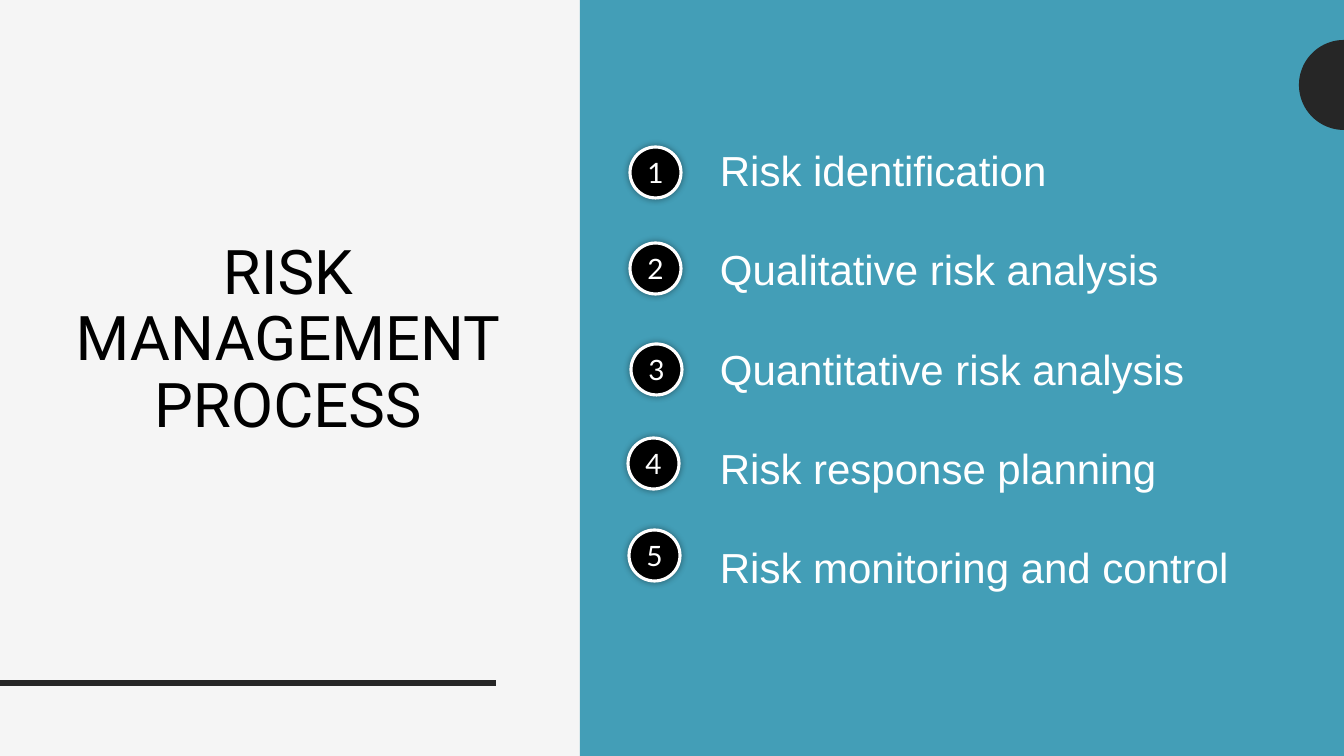
from math import cos, pi, sin

from lxml import etree
from pptx import Presentation
from pptx.dml.color import RGBColor
from pptx.enum.shapes import MSO_CONNECTOR, MSO_SHAPE
from pptx.enum.text import MSO_ANCHOR, PP_ALIGN
from pptx.oxml.ns import qn
from pptx.util import Pt

SCALE = 914400 / 100.8
RECT, OVAL = MSO_SHAPE.RECTANGLE, MSO_SHAPE.OVAL
LINE = MSO_CONNECTOR.STRAIGHT
TOP, MIDDLE = MSO_ANCHOR.TOP, MSO_ANCHOR.MIDDLE
CENTER = PP_ALIGN.CENTER

PALE = RGBColor(0xF5, 0xF5, 0xF5)
TEAL = RGBColor(0x43, 0x9E, 0xB7)
DARK = RGBColor(0x26, 0x26, 0x26)
BLACK = RGBColor(0, 0, 0)
WHITE = RGBColor(0xFF, 0xFF, 0xFF)

TITLE = ["RISK", "MANAGEMENT", "PROCESS"]
STEPS = [
    ("Risk identification", 630, 147),
    ("Qualitative risk analysis", 630, 243),
    ("Quantitative risk analysis", 631, 344),
    ("Risk response planning", 628, 438),
    ("Risk monitoring and control", 629, 530),
]


def px(*nums):
    return [round(n * SCALE) for n in nums]


def add_run(para, text, font, size, color):
    run = para.add_run()
    run.text = text
    run.font.name = font
    run.font.size = Pt(size)
    run.font.color.rgb = color


def paint(shape, color):
    shape.shadow.inherit = False
    shape.fill.solid()
    shape.fill.fore_color.rgb = color
    shape.line.fill.background()


def add_panel(slide):
    panel = slide.shapes.add_shape(RECT, *px(580, 0, 764, 756))
    paint(panel, TEAL)


def add_rule(slide):
    rule = slide.shapes.add_connector(LINE, *px(0, 683, 496, 683))
    rule.line.color.rgb = DARK
    rule.line.width = Pt(4.5)
    etree.SubElement(rule._element.spPr, qn("a:effectLst"))


def add_moon(slide, x, y, radius, steps=48):
    angles = [pi / 2 + pi * i / steps for i in range(steps + 1)]
    points = [px(x + radius * cos(a), y - radius * sin(a)) for a in angles]
    outline = slide.shapes.build_freeform(*points[0])
    outline.add_line_segments(points[1:], close=True)
    paint(outline.convert_to_shape(), DARK)


def add_title(slide):
    title = slide.shapes.title
    title.left, title.top, title.width, title.height = px(47, 236, 482, 251)
    frame = title.text_frame
    frame.word_wrap = True
    frame.vertical_anchor = TOP
    para = frame.paragraphs[0]
    para.alignment = CENTER
    para.line_spacing = 0.9
    for i, word in enumerate(TITLE):
        if i:
            para.add_line_break()
        add_run(para, word, "Roboto", 44, BLACK)


def add_list(slide):
    frame = slide.shapes.add_textbox(*px(710, 98, 607, 538)).text_frame
    frame.word_wrap = True
    frame.vertical_anchor = MIDDLE
    for i, (text, _, _) in enumerate(STEPS):
        para = frame.add_paragraph() if i else frame.paragraphs[0]
        para.line_spacing = 1.05
        para.space_before = Pt(9 if i else 0)
        para.space_after = Pt(24)
        add_run(para, text, "Arial", 30, WHITE)


def add_glow(shape):
    effects = shape._element.spPr.find(qn("a:effectLst"))
    glow = etree.SubElement(effects, qn("a:outerShdw"), blurRad=str(Pt(5)),
                            dist="0", dir="0", algn="ctr", rotWithShape="0")
    color = etree.SubElement(glow, qn("a:srgbClr"), val=str(BLACK))
    etree.SubElement(color, qn("a:alpha"), val="40000")


def add_badge(slide, num, x, y):
    badge = slide.shapes.add_shape(OVAL, *px(x, y, 51, 51))
    paint(badge, BLACK)
    badge.line.color.rgb = WHITE
    badge.line.width = Pt(2.25)
    add_glow(badge)
    frame = badge.text_frame
    frame.margin_left = frame.margin_right = 0
    frame.margin_top = frame.margin_bottom = 0
    frame.vertical_anchor = MIDDLE
    para = frame.paragraphs[0]
    para.alignment = CENTER
    add_run(para, str(num), "Lato", 20, WHITE)


def main():
    deck = Presentation()
    deck.slide_width, deck.slide_height = px(1344, 756)
    slide = deck.slides.add_slide(deck.slide_layouts[5])
    slide.background.fill.solid()
    slide.background.fill.fore_color.rgb = PALE
    add_rule(slide)
    add_panel(slide)
    add_moon(slide, 1344, 85, 45)
    add_title(slide)
    add_list(slide)
    for num, (_, x, y) in enumerate(STEPS, 1):
        add_badge(slide, num, x, y)
    deck.save("out.pptx")


if __name__ == "__main__":
    main()
